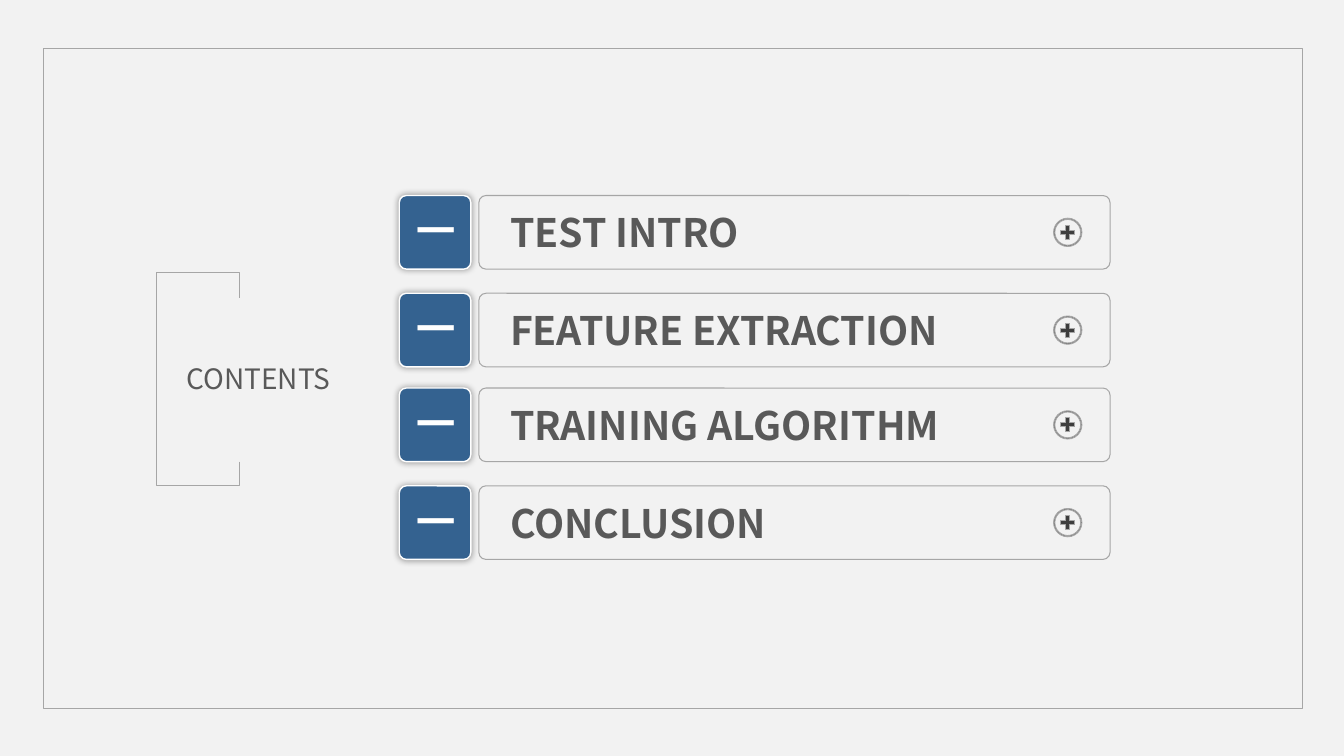
import pptx
import pptx.util
import pptx.dml.color
import pptx.enum.shapes
import pptx.enum.text
from dataclasses import dataclass
from lxml import etree
from pptx.oxml.ns import qn

Inches, Pt = pptx.util.Inches, pptx.util.Pt
RGB = pptx.dml.color.RGBColor.from_string
SHAPE = pptx.enum.shapes.MSO_SHAPE
ALIGN = pptx.enum.text.PP_ALIGN
ANCHOR = pptx.enum.text.MSO_ANCHOR
FIT = pptx.enum.text.MSO_AUTO_SIZE


@dataclass(frozen=True)
class Theme:
    font: str = "Noto Sans CJK SC"
    back: str = "F2F2F2"
    rule: str = "A6A6A6"
    text: str = "595959"
    tile: str = "346290"
    white: str = "FFFFFF"
    icon: str = "3D3D3D"
    title_size: int = 20
    item_size: int = 28
    thin: float = 0.75
    thick: float = 1


T = Theme()


def style_shape(sp, line, width, fill=None):
    sp.shadow.inherit = False
    if fill:
        sp.fill.solid()
        sp.fill.fore_color.rgb = RGB(fill)
    else:
        sp.fill.background()
    sp.line.color.rgb = RGB(line)
    sp.line.width = Pt(width)


def write(sp, text, size, color, bold, align, fit):
    tf = sp.text_frame
    tf.word_wrap = True
    tf.auto_size = fit
    p = tf.paragraphs[0]
    p.text = text
    p.alignment = align
    r = p.runs[0]
    r.font.size = Pt(size)
    r.font.bold = bold
    r.font.color.rgb = RGB(color)
    r.font.name = T.font
    ea = etree.SubElement(r.font._element, qn("a:ea"))
    ea.set("typeface", T.font)


prs = pptx.Presentation()
prs.slide_width, prs.slide_height = Inches(13.33), Inches(7.5)
s = prs.slides.add_slide(prs.slide_layouts[5])
s.background.fill.solid()
s.background.fill.fore_color.rgb = RGB(T.back)

# Page frame
frame = s.shapes.add_shape(SHAPE.RECTANGLE, Inches(0.43), Inches(0.48), Inches(12.49), Inches(6.55))
style_shape(frame, T.rule, T.thick)

# Title and its bracket
title = s.shapes.title
title.left, title.top, title.width, title.height = Inches(1.75), Inches(3.47), Inches(1.76), Inches(0.56)
write(title, "CONTENTS", T.title_size, T.text, False, ALIGN.LEFT, FIT.NONE)
title.text_frame.vertical_anchor = ANCHOR.MIDDLE

corners = [(2.38, 4.82), (1.55, 4.82), (1.55, 2.7), (2.38, 2.7), (2.38, 2.96)]
fb = s.shapes.build_freeform(Inches(2.38), Inches(4.58))
fb.add_line_segments([(Inches(x), Inches(y)) for x, y in corners], close=False)
style_shape(fb.convert_to_shape(), T.rule, T.thin)

# Contents rows
rows = [(1.94, "TEST INTRO"), (2.91, "FEATURE EXTRACTION"),
        (3.85, "TRAINING ALGORITHM"), (4.82, "CONCLUSION")]
row_h, corner = 0.73, 0.07

for top, label in rows:
    # Blue tile with a soft shadow
    tile = s.shapes.add_shape(SHAPE.ROUNDED_RECTANGLE, Inches(3.96), Inches(top), Inches(0.71), Inches(row_h))
    tile.adjustments[0] = corner / 0.71
    style_shape(tile, T.white, T.thick, T.tile)
    effects = tile._element.spPr.find(qn("a:effectLst"))
    shadow = etree.SubElement(effects, qn("a:outerShdw"), blurRad=str(Pt(5)), algn="ctr", rotWithShape="0")
    black = etree.SubElement(shadow, qn("a:srgbClr"), val="000000")
    etree.SubElement(black, qn("a:alpha"), val="40000")

    # Outlined bar
    bar = s.shapes.add_shape(SHAPE.ROUNDED_RECTANGLE, Inches(4.75), Inches(top), Inches(6.26), Inches(row_h))
    bar.adjustments[0] = corner / row_h
    style_shape(bar, T.rule, T.thin)

    # Plus sign in a ring
    for kind, size, adjust in [(SHAPE.DONUT, 0.28, 0.04), (SHAPE.CROSS, 0.14, 0.36)]:
        icon = s.shapes.add_shape(kind, Inches(10.59 - size / 2), Inches(top + (row_h - size) / 2),
                                  Inches(size), Inches(size))
        icon.adjustments[0] = adjust
        style_shape(icon, T.rule, T.thin, T.icon)

    # Tile mark and row label
    mark = s.shapes.add_textbox(Inches(4.03), Inches(top + 0.06), Inches(0.58), Inches(0.57))
    write(mark, "一", T.item_size, T.white, True, ALIGN.CENTER, FIT.SHAPE_TO_FIT_TEXT)
    name = s.shapes.add_textbox(Inches(4.96), Inches(top + 0.08), Inches(5.35), Inches(0.57))
    write(name, label, T.item_size, T.text, True, ALIGN.LEFT, FIT.SHAPE_TO_FIT_TEXT)

prs.save("out.pptx")
